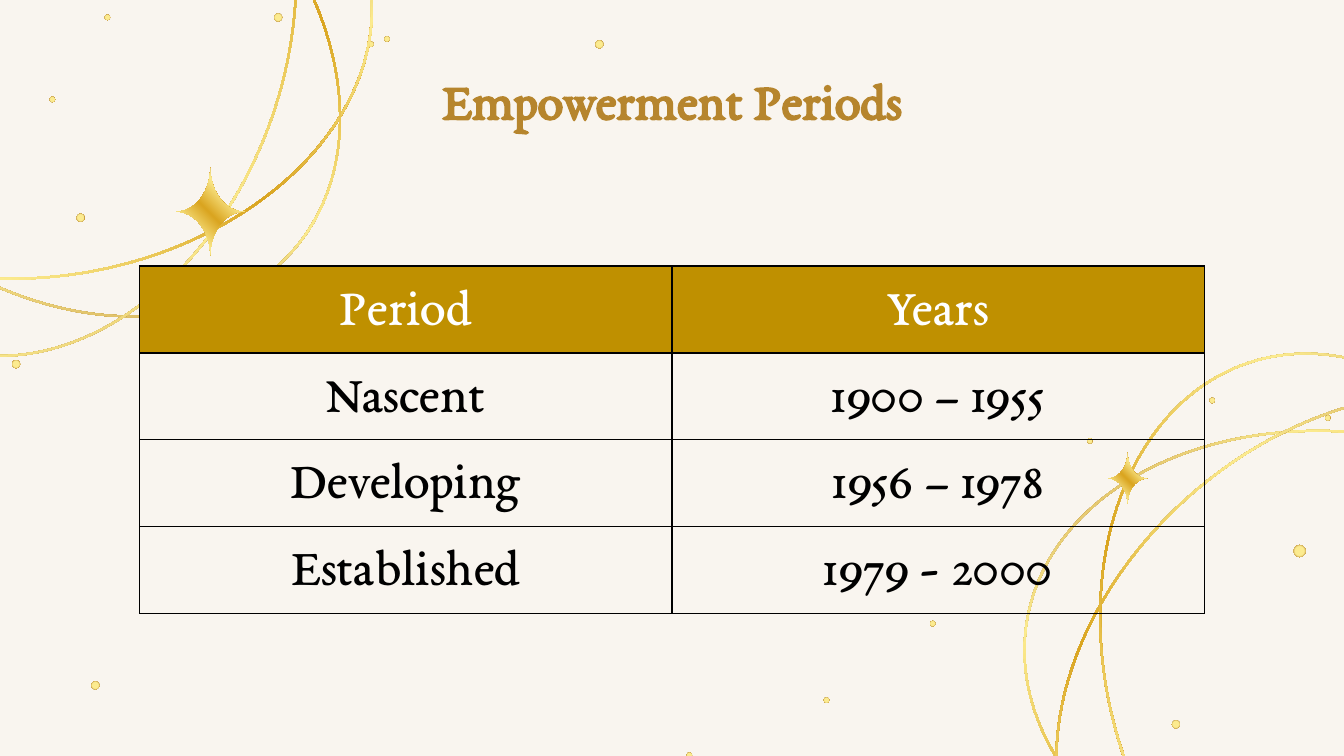
from math import cos, pi, sin

from lxml import etree
from pptx import Presentation
from pptx.dml.color import RGBColor as RGB
from pptx.enum.shapes import MSO_SHAPE as Shape
from pptx.enum.text import MSO_ANCHOR as Anchor, MSO_AUTO_SIZE as Auto, PP_ALIGN as Align
from pptx.oxml import parse_xml
from pptx.oxml.ns import nsdecls, qn
from pptx.util import Inches, Pt

CREAM = RGB(0xF9, 0xF5, 0xEF)
BROWN = RGB(0xB8, 0x85, 0x32)
TAN = RGB(0xC9, 0x9F, 0x4A)
PALE = RGB(0xFC, 0xEB, 0x8F)
GOLD = RGB(0xDA, 0xA5, 0x20)
HEAD = RGB(0xB6, 0x85, 0x2D)
BAND = RGB(0xBF, 0x90, 0x00)
WHITE = RGB(0xFF, 0xFF, 0xFF)
BLACK = RGB(0x00, 0x00, 0x00)

FONT = "EB Garamond"
GLOW = [(0, PALE), (21, PALE), (52, PALE), (79, TAN), (100, GOLD)]
RING = [(0, BROWN), (9, TAN), (25, PALE), (49, GOLD), (72, PALE), (86, TAN), (100, BROWN)]
SHINE = [(0, BROWN), (9, GOLD)] + RING[2:]
RADIAL = '<a:path path="circle"><a:fillToRect l="50000" t="50000" r="50000" b="50000"/></a:path>'


def shade(shape, stops, angle=None):
    shape.shadow.inherit = False
    shape.line.fill.background()
    shape.fill.background()
    marks = "".join(
        f'<a:gs pos="{pos * 1000}"><a:srgbClr val="{color}"/></a:gs>' for pos, color in stops
    )
    way = RADIAL if angle is None else f'<a:lin ang="{angle * 60000}" scaled="0"/>'
    grad = parse_xml(f'<a:gradFill {nsdecls("a")}><a:gsLst>{marks}</a:gsLst>{way}</a:gradFill>')
    props = shape.element.spPr
    props.replace(props.find(qn("a:noFill")), grad)


def style(frame, text, color, bold, **form):
    frame.text = text
    para = frame.paragraphs[0]
    for name, value in form.items():
        setattr(para, name, value)
    font = para.runs[0].font
    for name, value in {"name": FONT, "size": Pt(28), "bold": bold}.items():
        setattr(font, name, value)
    font.color.rgb = color


deck = Presentation()
deck.slide_width = Inches(10)
deck.slide_height = Inches(10) * 9 // 16
slide = deck.slides.add_slide(deck.slide_layouts[5])
slide.background.fill.solid()
slide.background.fill.fore_color.rgb = CREAM
shapes = slide.shapes

dots = {
    0.06: [(0.12, 2.71), (2.07, 0.13), (0.6, 1.62), (4.46, 0.33), (8.75, 5.39), (0.71, 5.1)],
    0.09: [(9.67, 4.1)],
    0.04: [(0.39, 0.74), (8.11, 3.28), (2.76, 0.33), (2.88, 0.29), (0.8, 0.13), (6.15, 5.21),
           (6.94, 4.64), (9.02, 2.98), (9.88, 3.11), (5.13, 5.62)],
}
for size, spots in dots.items():
    for x, y in spots:
        dot = shapes.add_shape(
            Shape.OVAL, Inches(x - size / 2), Inches(y - size / 2), Inches(size), Inches(size)
        )
        shade(dot, GLOW)

swirls = [
    (7.6, 3.22, [(9.6, False), (319.3, True), (72, False)], (8.39, 3.56, 0.145, 0.19)),
    (-2.12, -1.55, [(170.4, True), (220.7, False), (108, True)], (1.565, 1.575, 0.255, 0.325)),
]
quads = [(1, -1, False), (1, 1, True), (-1, 1, False), (-1, -1, True)]
steps = 12
for left, top, turns, (mid_x, mid_y, rad_x, rad_y) in swirls:
    for turn, flip in turns:
        ring = shapes.add_shape(
            Shape.DONUT, Inches(left), Inches(top), Inches(4.91), Inches(3.61)
        )
        ring.adjustments[0] = 0.004
        ring.rotation = turn
        if flip:
            ring.element.spPr.xfrm.set("flipH", "1")
        shade(ring, RING, 45)
    points = []
    for side, end, back in quads:
        for step in range(steps):
            angle = pi / 2 * (steps - step if back else step) / steps
            x = mid_x + side * rad_x * (1 - cos(angle))
            y = mid_y + end * rad_y * (1 - sin(angle))
            points.append((Inches(x), Inches(y)))
    star = shapes.build_freeform(*points[0])
    star.add_line_segments(points[1:], close=True)
    shade(star.convert_to_shape(), SHINE, 315)

title = shapes.title
title.left, title.top, title.width, title.height = map(Inches, (0.78, 0.4, 8.44, 0.63))
frame = title.text_frame
sides = ("left", "right", "top", "bottom")
form = {"word_wrap": True, "auto_size": Auto.NONE, "vertical_anchor": Anchor.TOP}
for side in sides:
    form[f"margin_{side}"] = Inches(0.1)
for name, value in form.items():
    setattr(frame, name, value)
style(frame, "Empowerment Periods", HEAD, True, alignment=Align.CENTER)

rows = [
    ("Period", "Years"),
    ("Nascent", "1900 – 1955"),
    ("Developing", "1956 – 1978"),
    ("Established", "1979 - 2000"),
]
table = shapes.add_table(
    len(rows), 2, Inches(1.04), Inches(1.98), Inches(7.92), Inches(0.64 * len(rows))
).table
table.horz_banding = False
for r, row in enumerate(rows):
    for c, text in enumerate(row):
        cell = table.cell(r, c)
        for side in sides:
            setattr(cell, f"margin_{side}", Inches(0.1))
        props = cell._tc.get_or_add_tcPr()
        for edge in ("lnL", "lnR", "lnT", "lnB"):
            line = etree.SubElement(props, qn(f"a:{edge}"), w=str(Pt(0.75)))
            fill = etree.SubElement(line, qn("a:solidFill"))
            etree.SubElement(fill, qn("a:srgbClr"), val=str(BLACK))
        if r == 0:
            cell.fill.solid()
            cell.fill.fore_color.rgb = BAND
        else:
            cell.fill.background()
        style(cell.text_frame, text, BLACK if r else WHITE, False,
              alignment=Align.CENTER, line_spacing=1.15)

deck.save("out.pptx")
